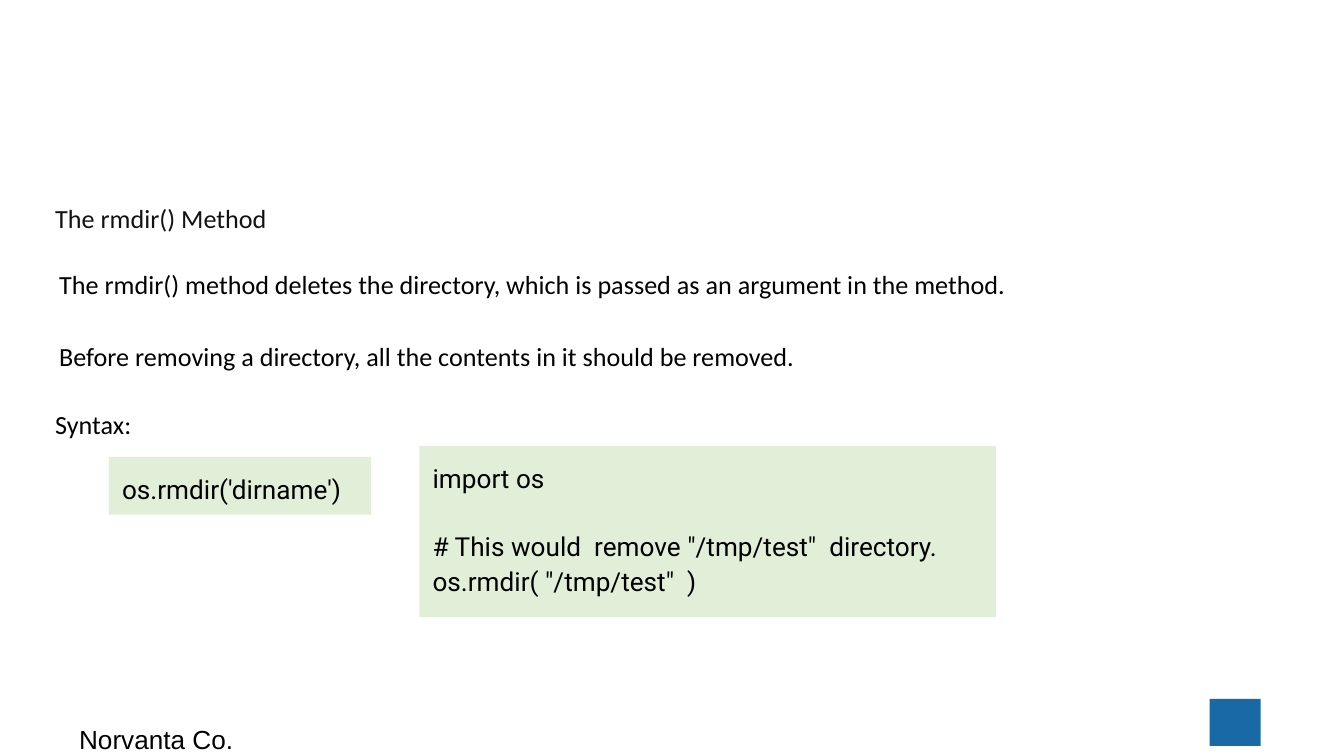
import copy

import pptx
import pptx.dml.color
import pptx.enum.shapes
import pptx.enum.text
import pptx.oxml
import pptx.oxml.ns
import pptx.util

Inches = pptx.util.Inches
Pt = pptx.util.Pt
ALIGN = pptx.enum.text.PP_ALIGN
RECTANGLE = pptx.enum.shapes.MSO_SHAPE.RECTANGLE
qn = pptx.oxml.ns.qn
color = pptx.dml.color.RGBColor.from_string


def write(paragraph, text, font="Calibri", fill="000000", align=ALIGN.LEFT,
          spacing=1.0, before=0, after=0, indent=0):
    """Fill a paragraph; a newline in the text becomes a line break."""
    paragraph.text = text
    paragraph.alignment = align
    paragraph.line_spacing = spacing
    paragraph.space_before = Pt(before)
    paragraph.space_after = Pt(after)
    for run in paragraph.runs:
        run.font.name = font
        run.font.size = Pt(14)
        run.font.color.rgb = color(fill)
    # Line breaks take the run format, so empty lines keep their height
    for line_break in paragraph._p.findall(qn("a:br")):
        line_break.append(copy.deepcopy(paragraph.runs[0]._r.rPr))
    # No bullet, own indent
    properties = paragraph._p.get_or_add_pPr()
    properties.set("marL", str(Inches(indent)))
    properties.set("indent", "0")
    properties.append(pptx.oxml.parse_xml(
        '<a:buNone xmlns:a="http://schemas.openxmlformats.org/drawingml/2006/main"/>'))


def set_frame(shape, horizontal, vertical):
    frame = shape.text_frame
    frame.word_wrap = True
    frame.auto_size = pptx.enum.text.MSO_AUTO_SIZE.NONE
    frame.vertical_anchor = pptx.enum.text.MSO_ANCHOR.TOP
    frame.margin_left = frame.margin_right = Inches(horizontal)
    frame.margin_top = frame.margin_bottom = Inches(vertical)
    return frame


# A 16:9 slide
presentation = pptx.Presentation()
presentation.slide_width = Inches(10)
presentation.slide_height = Inches(10 * 9 / 16)
slide = presentation.slides.add_slide(presentation.slide_layouts[1])
title = slide.shapes.title
title._element.getparent().remove(title._element)

# Body text
body = slide.placeholders[1]
body.left, body.top = Inches(0.34), Inches(1.35)
body.width, body.height = Inches(9.32), Inches(3.65)
frame = set_frame(body, 0.07, 0.04)
heading = {"spacing": 1.5}
sentence = {"spacing": 1.64, "align": ALIGN.JUSTIFY, "indent": 0.03}
lines = [
    ("The rmdir() Method", {**heading, "before": 3, "fill": "121214"}),
    ("The rmdir() method deletes the directory, which is passed as an argument "
     "in the method.", {**sentence, "before": 8}),
    ("Before removing a directory, all the contents in it should be removed.",
     {**sentence, "before": 11}),
    ("Syntax:", {**heading, "before": 11}),
]
for index, (text, text_format) in enumerate(lines):
    paragraph = frame.paragraphs[0] if index == 0 else frame.add_paragraph()
    write(paragraph, text, **text_format)

# Code boxes and the corner square
example = ('import os\n\n# This would  remove "/tmp/test"  directory.\n'
           'os.rmdir( "/tmp/test"  )')
boxes = [
    (0.81, 3.4, 1.95, 0.43, "E1EFD8", "os.rmdir('dirname')"),
    (3.12, 3.32, 4.29, 1.27, "E1EFD8", example),
    (9, 5.2, 0.38, 0.35, "1869A6", None),
]
for left, top, width, height, fill, code in boxes:
    box = slide.shapes.add_shape(
        RECTANGLE, Inches(left), Inches(top), Inches(width), Inches(height))
    box.shadow.inherit = False
    box.fill.solid()
    box.fill.fore_color.rgb = color(fill)
    box.line.fill.background()
    if code:
        frame = set_frame(box, 0.1, 0.1)
        write(frame.paragraphs[0], code, font="Roboto", spacing=1.09, after=8)

# Footer
footer = slide.shapes.add_textbox(
    Inches(0.49), Inches(5.28), Inches(1.47), Inches(0.24))
write(set_frame(footer, 0.1, 0.1).paragraphs[0], "Norvanta Co.", font="Arial")

presentation.save("out.pptx")
